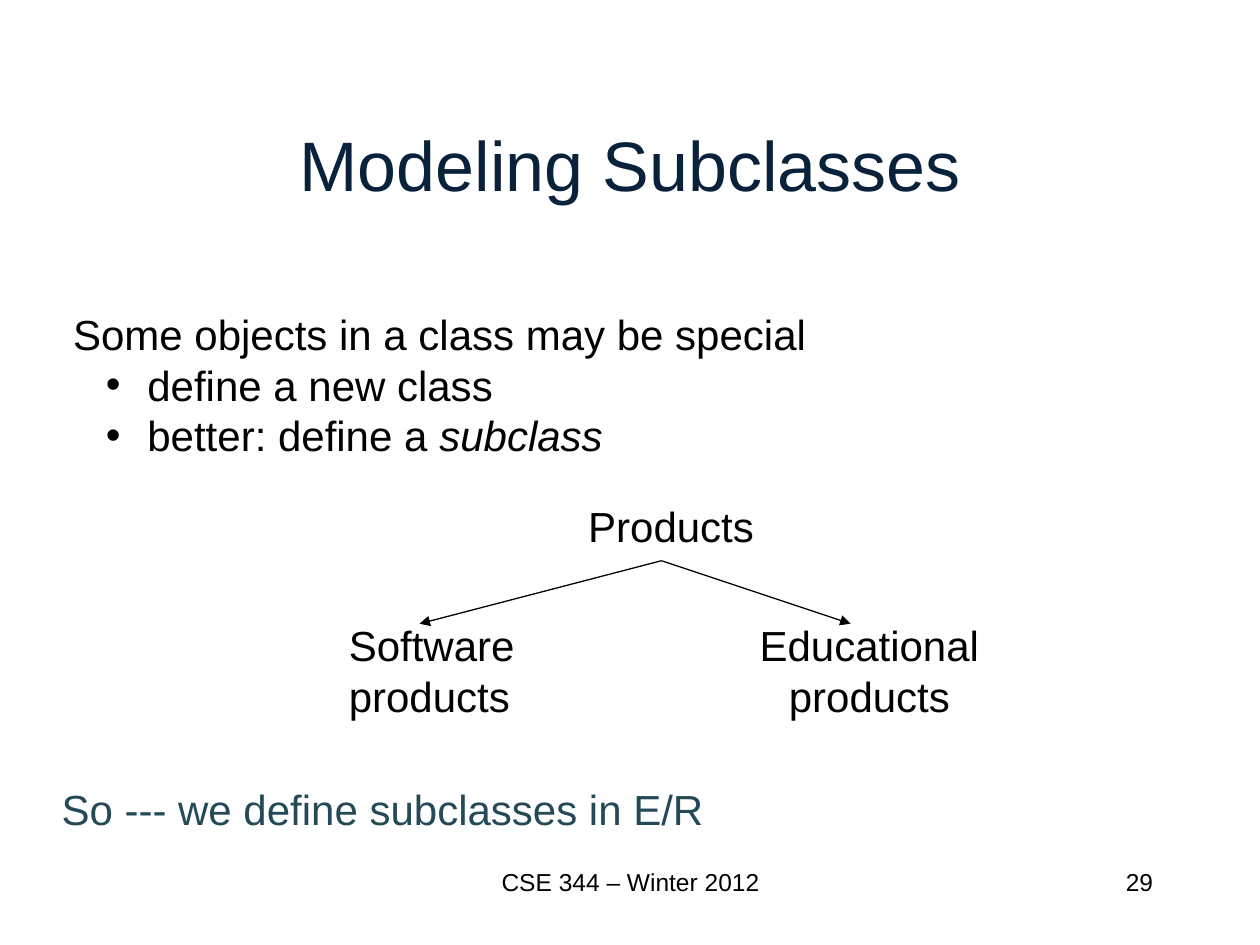
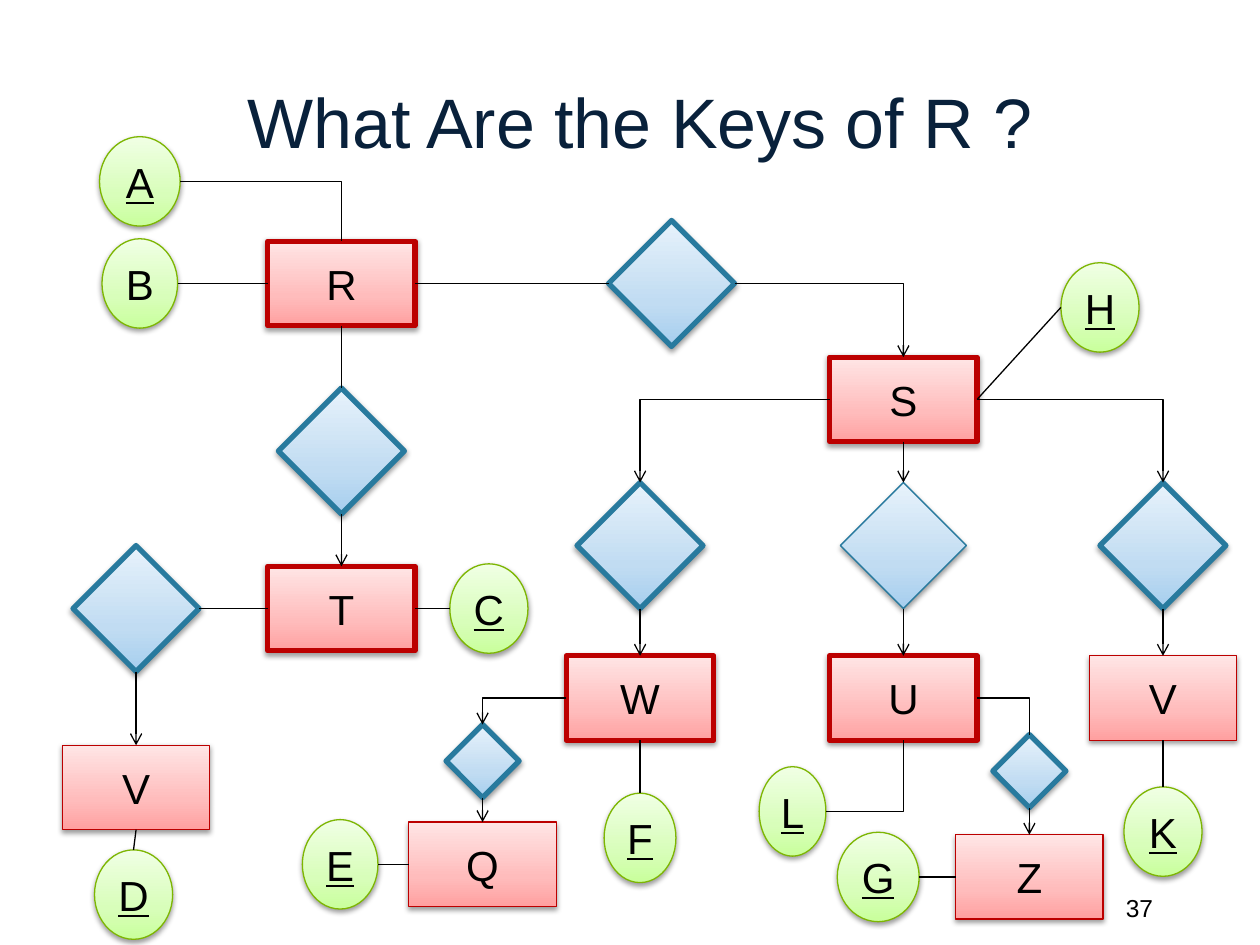
from copy import deepcopy
from dataclasses import dataclass
from typing import NamedTuple

from pptx import Presentation
from pptx import util as u
from pptx.dml.color import RGBColor
from pptx.enum import shapes, text
from pptx.oxml.ns import qn
from pptx.oxml.xmlchemy import OxmlElement


@dataclass(frozen=True)
class Theme:
    font: str = "Arial"
    title: str = "09213B"
    ink: str = "000000"
    conclusion: str = "244A58"
    title_size: int = 40
    body_size: int = 24
    footer_size: int = 14
    thin: float = 0.75
    thick: float = 3


THEME = Theme()
ALIGN = text.PP_ALIGN
TOP, LEFT, BOTTOM, RIGHT = range(4)


class Kind(NamedTuple):
    shape: shapes.MSO_SHAPE
    width: float
    height: float
    line: str
    gradient: tuple


ENTITY = Kind(shapes.MSO_SHAPE.RECTANGLE, 1.17, 0.67, "BC0000", ("FFA0A0", "FFBCBC", "FFE5E5"))
RELATION = Kind(shapes.MSO_SHAPE.DIAMOND, 1, 1, "287A9E", ("A6CEEE", "C1DCF2", "E7F2FB"))
SMALL_RELATION = RELATION._replace(width=0.58, height=0.58)
ATTRIBUTE = Kind(shapes.MSO_SHAPE.OVAL, 0.62, 0.71, "7DB602", ("C9FF9C", "D8FEBA", "F0FFE4"))
STOPS = (0, 0.35, 1)


class Node(NamedTuple):
    kind: Kind
    key: str
    x: float
    y: float
    weight: float = THEME.thick
    label: str = ""
    underline: bool = False


class Link(NamedTuple):
    start: str
    start_side: int
    end: str
    end_side: int
    head: str = ""
    bent: bool = False


def entity(key: str, x: float, y: float, weight: float = THEME.thick) -> Node:
    return Node(ENTITY, key, x, y, weight, key[0])


def attribute(label: str, x: float, y: float, width: float = 0.62, key: bool = True) -> Node:
    return Node(ATTRIBUTE._replace(width=width), label, x, y, THEME.thin, label, key)


COLUMNS = (1.08, 2.71, 3.83, 5.08, 7.17, 8.17, 9.23)
FAR_LEFT, R_COLUMN, Q_COLUMN, W_COLUMN, S_COLUMN, Z_COLUMN, FAR_RIGHT = COLUMNS
R_ROW, S_ROW, RELATION_ROW, T_ROW, W_ROW, Q_ROW, Z_ROW = 2.25, 3.17, 4.33, 4.83, 5.54, 6.86, 6.96

NODES = (
    Node(RELATION, "R-S", 5.33, R_ROW),
    Node(RELATION, "R-T", R_COLUMN, 3.58),
    Node(RELATION, "T-V", FAR_LEFT, T_ROW),
    Node(RELATION, "S-W", W_COLUMN, RELATION_ROW),
    Node(RELATION, "S-U", S_COLUMN, RELATION_ROW, THEME.thin),
    Node(RELATION, "S-V", FAR_RIGHT, RELATION_ROW),
    Node(SMALL_RELATION, "W-Q", Q_COLUMN, 6.04),
    Node(SMALL_RELATION, "U-Z", Z_COLUMN, 6.12),
    entity("R", R_COLUMN, R_ROW),
    entity("S", S_COLUMN, S_ROW),
    entity("T", R_COLUMN, T_ROW),
    entity("W", W_COLUMN, W_ROW),
    entity("U", S_COLUMN, W_ROW),
    entity("V right", FAR_RIGHT, W_ROW, THEME.thin),
    entity("V left", FAR_LEFT, 6.25, THEME.thin),
    entity("Q", Q_COLUMN, Q_ROW, THEME.thin),
    entity("Z", Z_COLUMN, Z_ROW, THEME.thin),
    attribute("A", 1.11, 1.44, 0.64),
    attribute("B", 1.11, R_ROW, 0.6, key=False),
    attribute("C", 3.88, T_ROW),
    attribute("D", 1.06, 7.1),
    attribute("E", 2.7, Q_ROW, 0.6),
    attribute("F", W_COLUMN, 6.65, 0.57),
    attribute("G", 6.97, Z_ROW, 0.65),
    attribute("H", 8.73, 2.44),
    attribute("K", FAR_RIGHT, 6.6),
    attribute("L", 6.29, 6.44, 0.53),
)

LINKS = (
    Link("A", RIGHT, "R", TOP, bent=True),
    Link("B", RIGHT, "R", LEFT),
    Link("T", RIGHT, "C", LEFT),
    Link("V left", BOTTOM, "D", TOP),
    Link("E", RIGHT, "Q", LEFT),
    Link("W", BOTTOM, "F", TOP),
    Link("S", RIGHT, "H", LEFT),
    Link("G", RIGHT, "Z", LEFT),
    Link("L", RIGHT, "U", BOTTOM, bent=True),
    Link("K", TOP, "V right", BOTTOM),
    Link("R", BOTTOM, "R-T", TOP),
    Link("T", LEFT, "T-V", RIGHT),
    Link("R", RIGHT, "R-S", LEFT),
    Link("R-S", RIGHT, "S", TOP, "arrow", True),
    Link("R-T", BOTTOM, "T", TOP, "arrow"),
    Link("T-V", BOTTOM, "V left", TOP, "arrow"),
    Link("S", BOTTOM, "S-U", TOP, "arrow"),
    Link("S", LEFT, "S-W", TOP, "arrow", True),
    Link("S", RIGHT, "S-V", TOP, "arrow", True),
    Link("S-W", BOTTOM, "W", TOP, "arrow"),
    Link("S-U", BOTTOM, "U", TOP, "arrow"),
    Link("S-V", BOTTOM, "V right", TOP, "arrow"),
    Link("W", LEFT, "W-Q", TOP, "arrow", True),
    Link("W-Q", BOTTOM, "Q", TOP, "arrow"),
    Link("U-Z", BOTTOM, "Z", TOP, "arrow"),
    Link("U", RIGHT, "U-Z", TOP, bent=True),
)


def place(box, left: float, top: float, width: float, height: float) -> None:
    box.left, box.top = u.Inches(left), u.Inches(top)
    box.width, box.height = u.Inches(width), u.Inches(height)


def style(frame, size: int = THEME.body_size, color: str = THEME.ink, align=ALIGN.LEFT) -> None:
    for para in frame.paragraphs:
        para.alignment = align
        for span in para.runs:
            span.font.name = THEME.font
            span.font.size = u.Pt(size)
            span.font.color.rgb = RGBColor.from_string(color)


def add_title(page, words: str, left: float, top: float) -> None:
    box = page.shapes.title
    place(box, left, top, 8.5, 1.25)
    box.text_frame.text = words
    box.text_frame.vertical_anchor = text.MSO_ANCHOR.MIDDLE
    style(box.text_frame, THEME.title_size, THEME.title, ALIGN.CENTER)


def add_label(page, words: str, left: float, top: float, width: float, height: float = 0.5,
              size: int = THEME.body_size, color: str = THEME.ink, align=ALIGN.LEFT) -> None:
    box = page.shapes.add_textbox(*map(u.Inches, (left, top, width, height)))
    frame = box.text_frame
    frame.text = words
    frame.word_wrap = False
    style(frame, size, color, align)


def add_page_number(page, number: int, top: float) -> None:
    add_label(page, str(number), 8.8, top, 0.45, 0.35, THEME.footer_size, align=ALIGN.RIGHT)


def set_bullet(para, bullet: str, margin: float, indent: float) -> None:
    props = para._p.get_or_add_pPr()
    props.set("marL", str(u.Inches(margin)))
    props.set("indent", str(u.Inches(indent)))
    mark = OxmlElement("a:buChar" if bullet else "a:buNone")
    if bullet:
        mark.set("char", bullet)
    props.append(mark)


def add_list(page) -> None:
    box = page.placeholders[1]
    place(box, 0.48, 2.4, 6.08, 1.31)
    frame = box.text_frame
    frame.text = "Some objects in a class may be special\ndefine a new class\nbetter: define a "
    frame.auto_size = text.MSO_AUTO_SIZE.NONE
    heading, *items = frame.paragraphs
    set_bullet(heading, "", 0, 0)
    for item in items:
        set_bullet(item, "•", 0.59, -0.33)
    for para in frame.paragraphs:
        para.space_before = u.Pt(0)
    span = items[-1].add_run()
    span.text = "subclass"
    span.font.italic = True
    style(frame)


def add_line(page, start: tuple, end: tuple, head: str = "", bent: bool = False):
    kind = shapes.MSO_CONNECTOR.ELBOW if bent else shapes.MSO_CONNECTOR.STRAIGHT
    line = page.shapes.add_connector(kind, *map(u.Inches, start + end))
    line.line.color.rgb = RGBColor.from_string(THEME.ink)
    line.line.width = u.Pt(THEME.thin)
    props = line.element.spPr
    props.append(OxmlElement("a:effectLst"))
    if bent:
        props.find(qn("a:prstGeom")).set("prst", "bentConnector2")
    if head:
        tail = OxmlElement("a:tailEnd")
        tail.set("type", head)
        props.find(qn("a:ln")).append(tail)
    return line


def add_shadow(box) -> None:
    box.shadow.inherit = False
    shadow = OxmlElement("a:outerShdw")
    for name, value in {"blurRad": u.Pt(3.1), "dist": u.Pt(1.6), "dir": 5400000,
                        "rotWithShape": 0}.items():
        shadow.set(name, str(int(value)))
    color, alpha = OxmlElement("a:srgbClr"), OxmlElement("a:alpha")
    color.set("val", THEME.ink)
    alpha.set("val", "38000")
    color.append(alpha)
    shadow.append(color)
    box.element.spPr.find(qn("a:effectLst")).append(shadow)


def add_node(page, node: Node):
    kind = node.kind
    corner = (node.x - kind.width / 2, node.y - kind.height / 2)
    box = page.shapes.add_shape(kind.shape, *map(u.Inches, corner + (kind.width, kind.height)))
    box.fill.gradient()
    box.fill.gradient_angle = 90
    stops = box.element.spPr.find(qn("a:gradFill")).find(qn("a:gsLst"))
    stops.append(deepcopy(stops[0]))
    for stop, position, color in zip(box.fill.gradient_stops, STOPS, kind.gradient):
        stop.position = position
        stop.color.rgb = RGBColor.from_string(color)
    box.line.color.rgb = RGBColor.from_string(kind.line)
    box.line.width = u.Pt(node.weight)
    add_shadow(box)
    if node.label:
        frame = box.text_frame
        frame.text = node.label
        frame.word_wrap = False
        frame.vertical_anchor = text.MSO_ANCHOR.MIDDLE
        style(frame, align=ALIGN.CENTER)
        if node.underline:
            frame.paragraphs[0].runs[0].font.underline = True
    return box


def add_link(page, link: Link, boxes: dict) -> None:
    line = add_line(page, (0, 0), (1, 1), link.head, link.bent)
    line.begin_connect(boxes[link.start], link.start_side)
    line.end_connect(boxes[link.end], link.end_side)
    for key, side, tag in ((link.start, link.start_side, "a:stCxn"),
                           (link.end, link.end_side, "a:endCxn")):
        if boxes[key].auto_shape_type == shapes.MSO_SHAPE.OVAL:
            next(line.element.iter(qn(tag))).set("idx", str(side * 2))


def build_subclasses(deck) -> None:
    page = deck.slides.add_slide(deck.slide_layouts[1])
    add_title(page, "Modeling Subclasses", 0.75, 0.67)
    add_list(page)
    add_label(page, "Products", 4.57, 3.92, 1.53)
    add_label(page, "Software\nproducts", 2.67, 4.87, 1.53, 0.91)
    add_label(page, "Educational\nproducts", 5.92, 4.87, 1.96, 0.91, align=ALIGN.CENTER)
    for subclass_x in (3.33, 6.75):
        add_line(page, (5.25, 4.45), (subclass_x, 4.95), "triangle")
    add_label(page, "So --- we define subclasses in E/R", 0.39, 6.17, 5.35, color=THEME.conclusion)
    add_label(page, "CSE 344 – Winter 2012", 3.17, 6.83, 3.67,
              size=THEME.footer_size, align=ALIGN.CENTER)
    add_page_number(page, 29, 6.83)


def build_keys(deck) -> None:
    page = deck.slides.add_slide(deck.slide_layouts[5])
    add_page_number(page, 37, 7.04)
    add_title(page, "What Are the Keys of R ?", 0.83, 0.33)
    boxes = {node.key: add_node(page, node) for node in NODES}
    for link in LINKS:
        add_link(page, link, boxes)


def main() -> None:
    deck = Presentation()
    deck.slide_width, deck.slide_height = u.Inches(10), u.Inches(7.5)
    build_subclasses(deck)
    build_keys(deck)
    deck.save("out.pptx")


if __name__ == "__main__":
    main()
